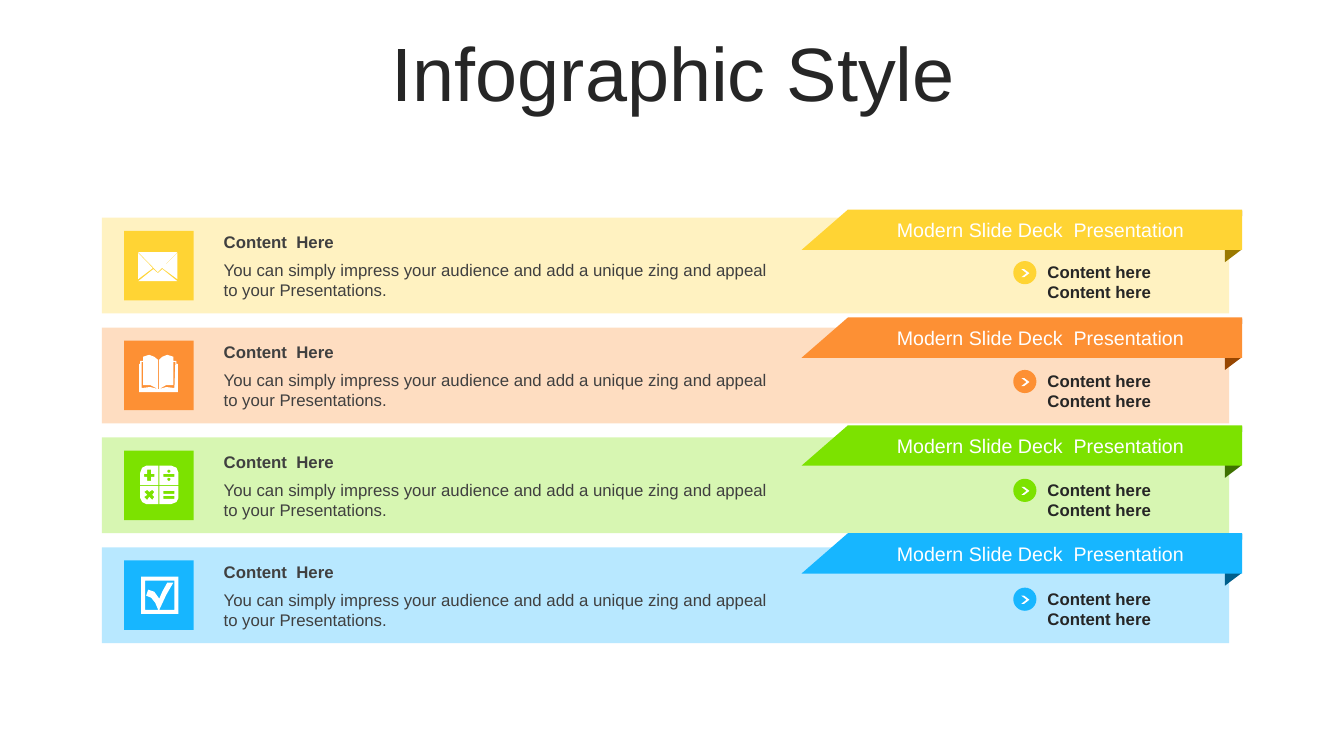
import math

from lxml import etree
from pptx import Presentation
from pptx import util as u
from pptx.dml.color import RGBColor
from pptx.enum import shapes, text
from pptx.oxml.ns import qn

WHITE = RGBColor(0xFF, 0xFF, 0xFF)
INK = RGBColor(0x26, 0x26, 0x26)
GREY = RGBColor(0x40, 0x40, 0x40)
YELLOW, DARK_YELLOW = RGBColor(0xFF, 0xD4, 0x34), RGBColor(0x9A, 0x79, 0x00)
ORANGE, DARK_ORANGE = RGBColor(0xFD, 0x90, 0x34), RGBColor(0x97, 0x46, 0x01)
GREEN, DARK_GREEN = RGBColor(0x7C, 0xE2, 0x00), RGBColor(0x3E, 0x71, 0x00)
BLUE, DARK_BLUE = RGBColor(0x17, 0xB6, 0xFF), RGBColor(0x00, 0x5F, 0x8B)

SHAPE = shapes.MSO_SHAPE
ALIGN = text.PP_ALIGN
ANCHOR = text.MSO_ANCHOR
BODY = "You can simply impress your audience and add a unique zing and appeal to your Presentations."


# Icon contours, in hundredths of an inch from the tile corner
def box(left, top, right, bottom):
    return [(left, top), (right, top), (right, bottom), (left, bottom)]


def dot(cx, cy, radius):
    angles = [math.pi * k / 6 for k in range(12)]
    return [(cx + radius * math.cos(a), cy + radius * math.sin(a)) for a in angles]


ENVELOPE = [
    [(38, 38), (53, 50), (14, 50), (29, 38), (33.5, 42)],
    [(53, 22), (53, 48), (38, 37)],
    [(14, 22), (28.5, 37), (14, 48)],
    [(14, 21), (53, 21), (33.5, 41)],
]
BOOK = [[
    (33.8, 48), (34.8, 48), (42, 46), (50, 47), (51, 21), (49, 21), (49, 44),
    (42, 44), (34.8, 48), (34.8, 19), (38, 16), (43, 14), (49, 16), (49, 20),
    (52, 20), (52, 23), (53.5, 23), (53.5, 51), (15, 51), (15, 23), (16, 23),
    (16, 20), (19, 20), (19, 16), (25, 14), (30, 16), (33.8, 19), (33.8, 48),
    (26, 44), (19, 44), (19, 21), (17.5, 21), (17.5, 47), (26, 46),
]]
CALCULATOR = [
    # Four keys
    [(22, 15), (34, 15), (34, 34), (16, 34), (16, 22), (18, 17)],
    [(35, 15), (47, 15), (52, 17), (54, 22), (54, 34), (35, 34)],
    [(16, 35), (34, 35), (34, 53), (22, 53), (18, 51), (16, 47)],
    [(35, 35), (54, 35), (54, 47), (52, 51), (47, 53), (35, 53)],
    # Plus, divide, times and equals
    [(23, 19), (23, 23), (20, 23), (20, 26), (23, 26), (23, 30),
     (27, 30), (27, 26), (30, 26), (30, 23), (27, 23), (27, 19)],
    box(39, 23, 50, 26), dot(44.5, 20.5, 1.6), dot(44.5, 28.5, 1.6),
    [(23, 39), (20, 41), (23, 44), (20, 46), (23, 49), (25, 46),
     (28, 49), (30, 46), (28, 44), (30, 41), (28, 39), (25, 41)],
    box(39, 40, 50, 43), box(39, 45, 50, 48),
]
CHECKBOX = [
    box(17, 16, 54, 53),
    [(21, 20), (21, 49), (34, 49), (31, 42), (27, 37), (22, 35), (24, 29),
     (30, 31), (35, 38), (38, 31), (43, 22), (49, 22), (42, 34), (35, 49),
     (50, 49), (50, 20)],
]

ROWS = [
    (YELLOW, DARK_YELLOW, ENVELOPE),
    (ORANGE, DARK_ORANGE, BOOK),
    (GREEN, DARK_GREEN, CALCULATOR),
    (BLUE, DARK_BLUE, CHECKBOX),
]


def paint(sp, color):
    sp.shadow.inherit = False
    sp.fill.solid()
    sp.fill.fore_color.rgb = color
    sp.line.fill.background()
    return sp


def add_preset(s, kind, x, y, w, h, color):
    return paint(s.shapes.add_shape(kind, u.Inches(x), u.Inches(y), u.Inches(w), u.Inches(h)), color)


def add_outline(s, contours, x, y, color):
    """Draw closed contours, given in hundredths of an inch from (x, y)."""
    placed = [[(u.Inches(x + px / 100), u.Inches(y + py / 100)) for px, py in contour]
              for contour in contours]
    builder = s.shapes.build_freeform(*placed[0][0])
    for k, contour in enumerate(placed):
        if k:
            builder.move_to(*contour[0])
        builder.add_line_segments(contour[1:], close=True)
    return paint(builder.convert_to_shape(), color)


def add_text(s, lines, x, y, w, h, size, color, bold=False, align=ALIGN.LEFT, anchor=ANCHOR.TOP):
    tf = s.shapes.add_textbox(u.Inches(x), u.Inches(y), u.Inches(w), u.Inches(h)).text_frame
    tf.word_wrap = True
    tf.vertical_anchor = anchor
    tf.text = "\n".join(lines)
    for p in tf.paragraphs:
        p.alignment = align
        p.font.name = "Arial"
        p.font.size = u.Pt(size)
        p.font.bold = bold
        p.font.color.rgb = color
    return tf


def add_title(s, x, y, w, h):
    tf = add_text(s, ["Infographic Style"], x, y, w, h, 54, INK, align=ALIGN.CENTER, anchor=ANCHOR.MIDDLE)
    tf.paragraphs[0].line_spacing = 0.9


def add_bar(s, x, y, w, h, color, icon):
    # Pale band
    bar = add_preset(s, SHAPE.RECTANGLE, x, y, w, h, color)
    srgb = bar.fill._xPr.find(qn("a:solidFill"))[0]
    etree.SubElement(srgb, qn("a:alpha"), val="30000")
    # Heading and description
    add_text(s, [BODY], x + 1.11, y + 0.37, 5.74, 0.5, 12, GREY)
    add_text(s, ["Content  Here"], x + 1.11, y + 0.09, 5.82, 0.3, 12, GREY, bold=True)
    # Icon tile
    add_preset(s, SHAPE.RECTANGLE, x + 0.22, y + 0.13, 0.69, 0.69, color)
    add_outline(s, icon, x + 0.22, y + 0.13, WHITE)


def add_ribbon(s, x, y, w, h, color, dark):
    right, bottom = w * 100, h * 100
    fold = [(right - 17, 2), (right, 1), (right - 1, bottom), (right - 17, bottom + 12)]
    add_outline(s, [fold], x, y, dark)
    add_outline(s, [[(right, 0), (46, 0), (0, bottom), (right, bottom)]], x, y, color)
    add_text(s, ["Modern Slide Deck  Presentation"], x + 0.78, y + 0.03, 3.18, 0.34, 14, WHITE,
             align=ALIGN.CENTER, anchor=ANCHOR.MIDDLE)


def add_points(s, x, y, color):
    add_preset(s, SHAPE.OVAL, x, y + 0.04, 0.23, 0.23, color)
    arrow = add_preset(s, SHAPE.CHEVRON, x + 0.08, y + 0.12, 0.08, 0.08, WHITE)
    arrow.adjustments[0] = 0.65
    add_text(s, ["Content here"] * 2, x + 0.24, y, 1.38, 0.5, 12, INK, bold=True, anchor=ANCHOR.MIDDLE)


def main():
    prs = Presentation()
    prs.slide_width, prs.slide_height = u.Inches(13.33), u.Inches(7.5)
    s = prs.slides.add_slide(prs.slide_layouts[6])
    add_title(s, 0.35, 0.37, 12.66, 0.79)
    for i, (color, dark, icon) in enumerate(ROWS):
        add_bar(s, 1.01, 2.16 + 1.09 * i, 11.18, 0.95, color, icon)
        add_ribbon(s, 7.95, 2.08 + 1.07 * i, 4.37, 0.4, color, dark)
        add_points(s, 10.05, 2.55 + 1.08 * i, color)
    prs.save("out.pptx")


if __name__ == "__main__":
    main()
